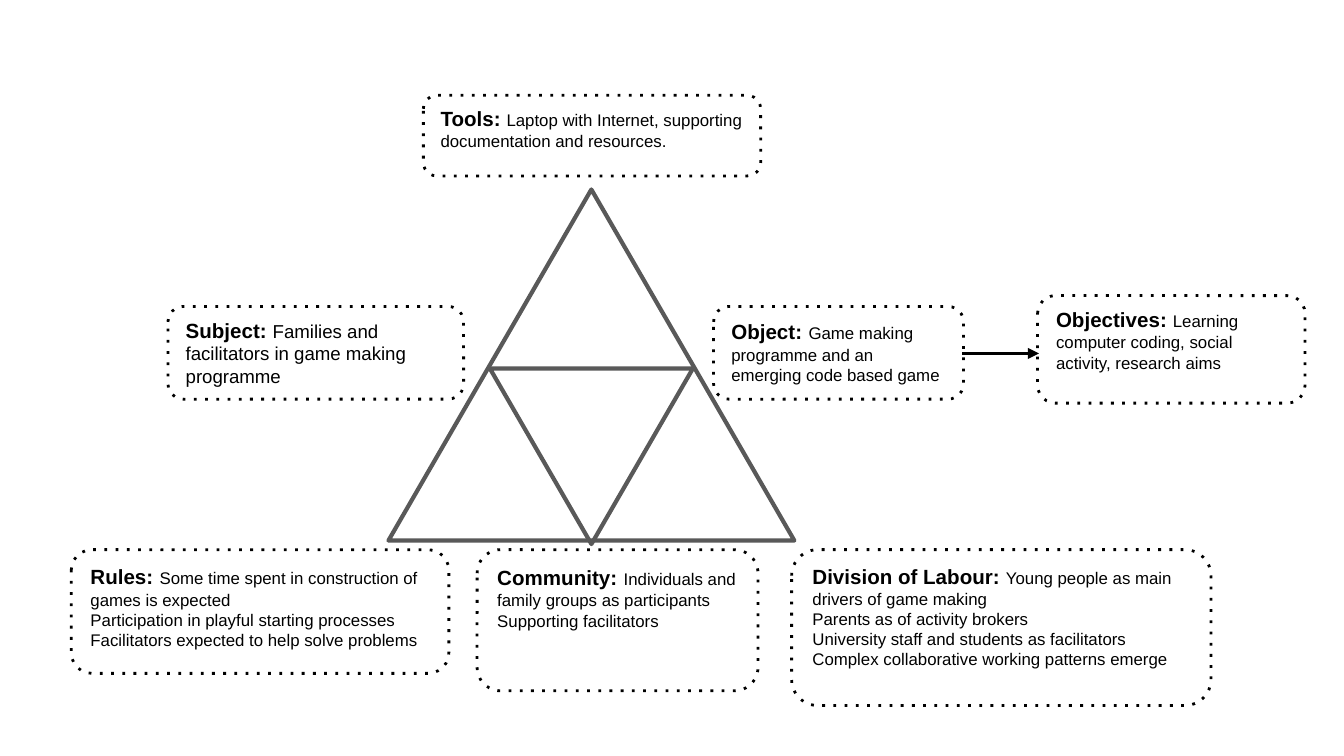
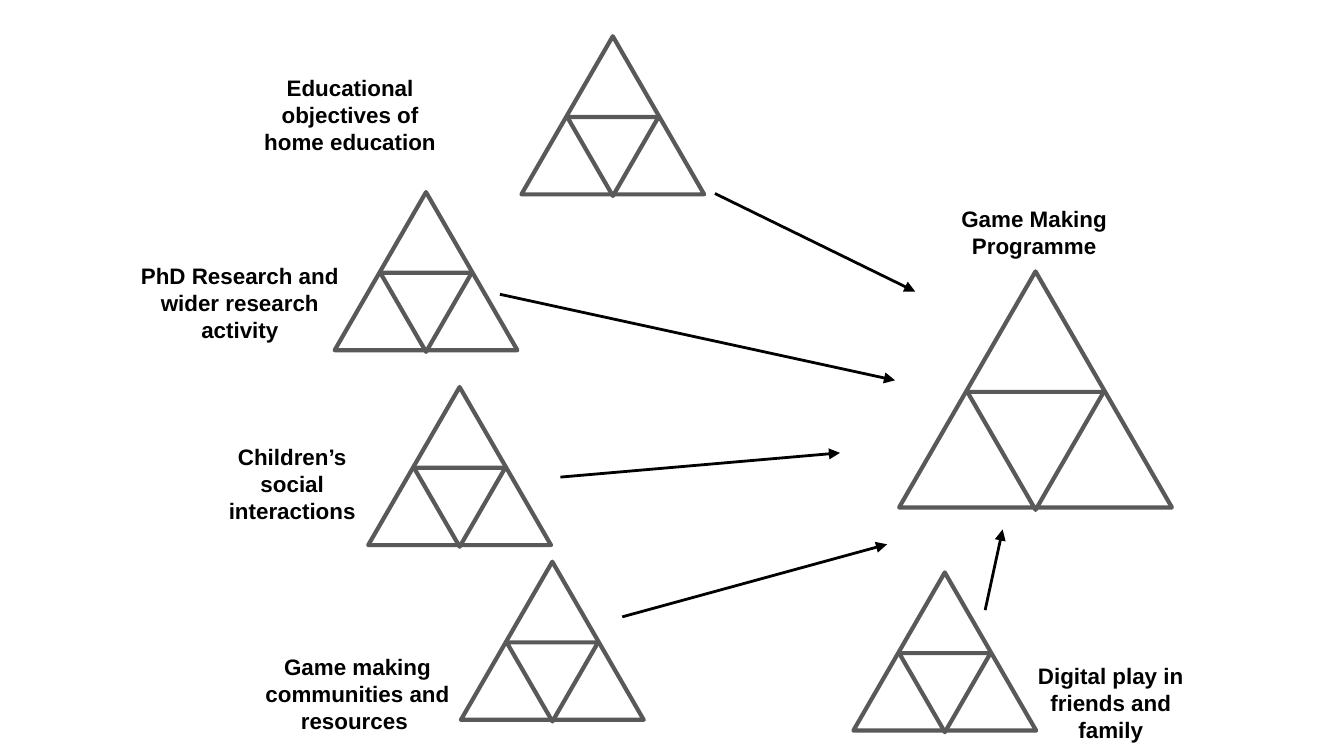
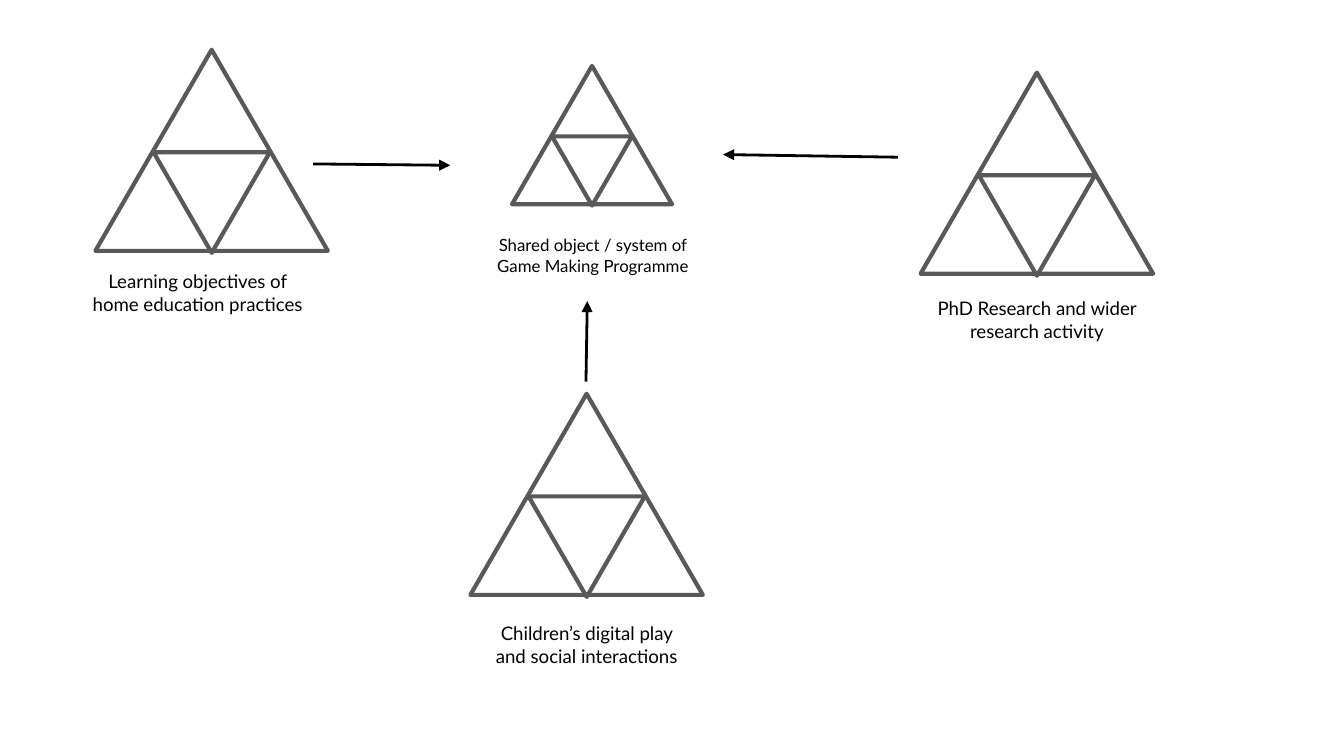
from lxml.etree import SubElement
from pptx import Presentation
from pptx.dml.color import RGBColor
from pptx.enum.shapes import MSO_CONNECTOR as Connector, MSO_SHAPE as Shape
from pptx.enum.text import MSO_ANCHOR as Anchor, PP_ALIGN as Align
from pptx.oxml.ns import qn
from pptx.util import Emu, Pt

PX = 9144
SLIDE_WIDTH = 1000
BLACK = "000000"
GREY = "595959"
INSET = 10
LEAD_SIZE = 11
TRIANGLE_HEIGHT = 0.865
INNER_DROP = 0.51

NODES = [
    ((315, 71, 251, 60), "Tools:", 11, 9,
     ["Laptop with Internet, supporting documentation and resources."]),
    ((125, 228, 220, 69), "Subject:", 11, 10,
     ["Families and facilitators in game making programme"]),
    ((53, 409, 281, 92), "Rules:", 12, 9,
     ["Some time spent in construction of games is expected",
      "Participation in playful starting processes",
      "Facilitators expected to help solve problems"]),
    ((589, 409, 312, 116), "Division of Labour:", 11, 9,
     ["Young people as main drivers of game making\n"
      "Parents as of activity brokers\n"
      "University staff and students as facilitators",
      "Complex collaborative working patterns emerge"]),
    ((355, 409, 209, 105), "Community:", 12, 9,
     ["Individuals and family groups as participants",
      "Supporting facilitators"]),
    ((531, 228, 186, 69), "Object:", 12, 9,
     ["Game making programme and an emerging code based game"]),
    ((772, 220, 199, 80), "Objectives:", 11, 9,
     ["Learning computer coding, social activity, research aims"]),
]

PROGRAMME_SYSTEMS = [
    (669, 202, 203), (388, 27, 136), (249, 143, 136),
    (274, 288, 136), (343, 418, 136), (635, 426, 136),
]
PROGRAMME_LABELS = [
    ((178, 45, 165, 50), "Educational objectives of home education"),
    ((92, 185, 173, 50), "PhD Research and wider research activity"),
    ((146, 320, 143, 50), "Children’s social interactions"),
    ((698, 143, 143, 50), "Game Making Programme"),
    ((185, 476, 162, 50), "Game making communities and resources "),
    ((755, 483, 143, 50), "Digital play in friends and family"),
]
PROGRAMME_ARROWS = [
    ((417, 355), (625, 337)), ((372, 219), (666, 283)),
    ((532, 144), (681, 217)), ((463, 459), (660, 405)),
    ((733, 454), (746, 394)),
]

SHARED_SYSTEMS = [(381, 49, 119), (71, 37, 173), (350, 293, 173), (685, 54, 173)]
SHARED_LABELS = [
    ((54, 191, 186, 50), "Learning objectives of home education practices", 10),
    ((685, 211, 173, 50), "PhD Research and wider research activity", 10),
    ((350, 453, 173, 50), "Children’s digital play and social interactions", 10),
    ((359, 165, 164, 50), "Shared object / system of Game Making Programme", 9),
]
SHARED_ARROWS = [
    ((436, 284), (437, 224)), ((668, 117), (538, 115)), ((233, 122), (335, 123)),
]


def px(*lengths):
    return [Emu(round(length * PX)) for length in lengths]


def colour(hex_code):
    return RGBColor.from_string(hex_code)


def set_line(item, hex_code, width):
    item.line.color.rgb = colour(hex_code)
    item.line.width = Pt(width)
    return item.element.spPr.find(qn("a:ln"))


def add_outline(shapes, kind, box, hex_code, width, dash="solid"):
    outline = shapes.add_shape(kind, *px(*box))
    outline.shadow.inherit = False
    outline.fill.background()
    line = set_line(outline, hex_code, width)
    SubElement(line, qn("a:prstDash")).set("val", dash)
    SubElement(line, qn("a:round"))
    return outline


def set_frame(frame, top_inset):
    frame.word_wrap = True
    frame.vertical_anchor = Anchor.TOP
    frame.margin_left, frame.margin_top, frame.margin_right, frame.margin_bottom = px(
        INSET, top_inset, INSET, INSET)


def format_run(run, size, bold=False, face="Arial"):
    run.font.name = face
    run.font.size = Pt(size)
    run.font.bold = bold
    run.font.color.rgb = colour(BLACK)


def add_run(paragraph, words, size, bold=False):
    run = paragraph.add_run()
    run.text = words
    format_run(run, size, bold)


def add_system(slide, left, top, width):
    height = width * TRIANGLE_HEIGHT
    system = slide.shapes.add_group_shape().shapes
    add_outline(system, Shape.ISOSCELES_TRIANGLE, (left, top, width, height), GREY, 2.25)
    inner_box = (left + width / 4, top + height * INNER_DROP, width / 2, height / 2)
    inner = add_outline(system, Shape.ISOSCELES_TRIANGLE, inner_box, GREY, 2.25)
    inner.rotation = 180


def add_node(slide, box, lead, gap_size, body_size, body):
    node = add_outline(slide.shapes, Shape.ROUNDED_RECTANGLE, box, BLACK, 1.5, "dot")
    frame = node.text_frame
    set_frame(frame, 5)
    frame.text = "\n".join([lead, *body[1:]])
    opening, *others = frame.paragraphs
    format_run(opening.runs[0], LEAD_SIZE, True)
    add_run(opening, " ", gap_size, True)
    first_line, *broken_lines = body[0].split("\n")
    add_run(opening, first_line, body_size)
    for words in broken_lines:
        opening.add_line_break()
        add_run(opening, words, body_size)
    for paragraph in frame.paragraphs:
        paragraph.alignment = Align.LEFT
    for paragraph in others:
        format_run(paragraph.runs[0], body_size)


def add_label(slide, box, words, size, bold, face):
    frame = slide.shapes.add_textbox(*px(*box)).text_frame
    set_frame(frame, INSET)
    frame.text = words
    paragraph = frame.paragraphs[0]
    paragraph.alignment = Align.CENTER
    format_run(paragraph.runs[0], size, bold, face)


def add_arrow(slide, start, end):
    arrow = slide.shapes.add_connector(Connector.STRAIGHT, *px(*start, *end))
    line = set_line(arrow, BLACK, 1.5)
    SubElement(line, qn("a:round"))
    SubElement(line, qn("a:tailEnd")).set("type", "triangle")
    SubElement(arrow.element.spPr, qn("a:effectLst"))


def build_activity_system(slide):
    add_system(slide, 289, 141, 302)
    for node in NODES:
        add_node(slide, *node)
    add_arrow(slide, (716, 263), (773, 263))


def build_network(slide, systems, labels, arrows):
    for system in systems:
        add_system(slide, *system)
    for label in labels:
        add_label(slide, *label)
    for start, end in arrows:
        add_arrow(slide, start, end)


def main():
    deck = Presentation()
    deck.slide_width, deck.slide_height = px(SLIDE_WIDTH, SLIDE_WIDTH * 9 / 16)
    activity, programme, shared = [
        deck.slides.add_slide(deck.slide_layouts[6]) for _ in range(3)]
    build_activity_system(activity)
    build_network(programme, PROGRAMME_SYSTEMS,
                  [(*label, 12, True, "Arial") for label in PROGRAMME_LABELS],
                  PROGRAMME_ARROWS)
    build_network(shared, SHARED_SYSTEMS,
                  [(*label, False, "Lato") for label in SHARED_LABELS],
                  SHARED_ARROWS)
    deck.save("out.pptx")


if __name__ == "__main__":
    main()
